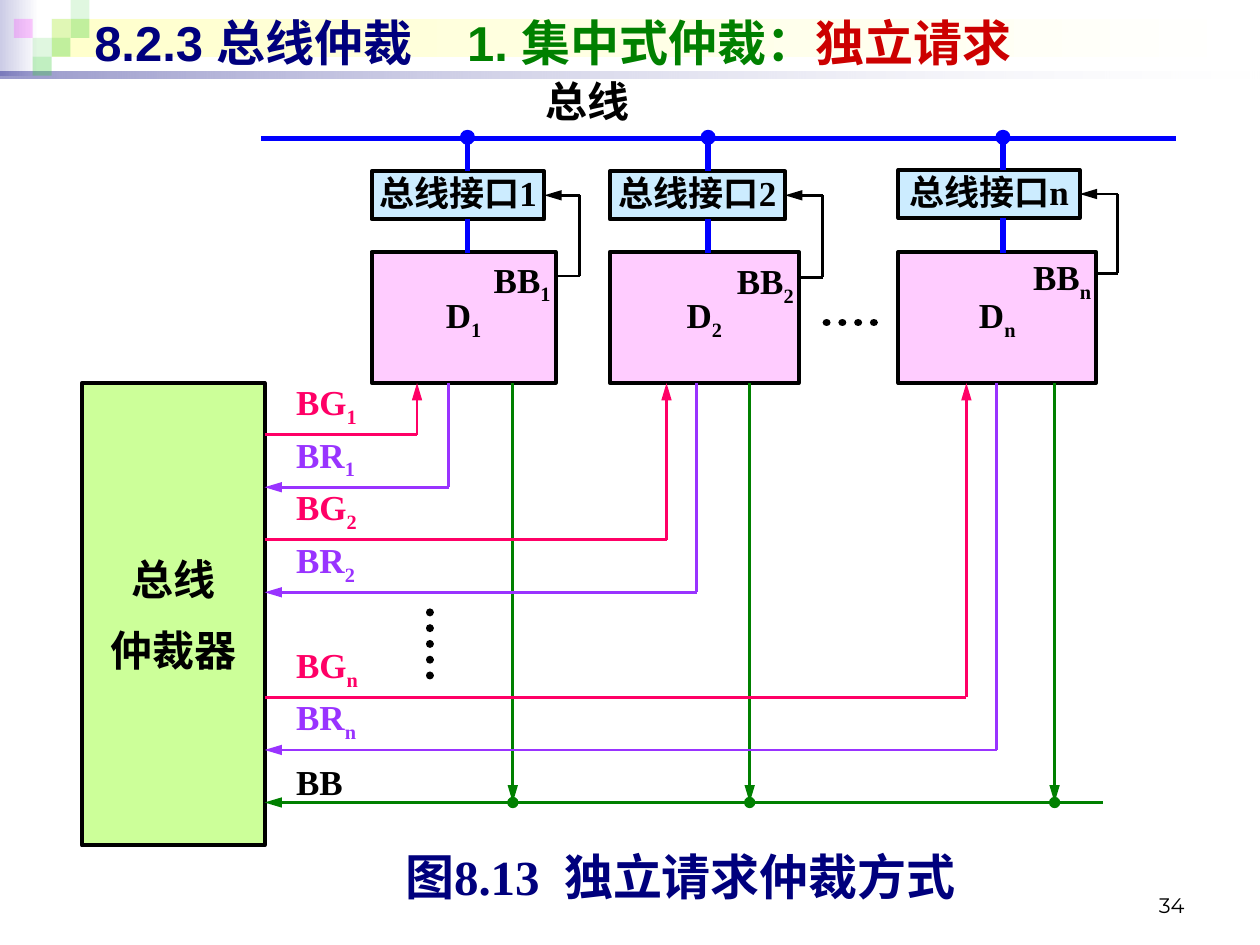
"""Build the slide on centralised bus arbitration by independent requests."""
from itertools import pairwise

from lxml.etree import SubElement
from pptx import Presentation
from pptx.dml.color import RGBColor
from pptx.enum.dml import MSO_LINE
from pptx.enum.shapes import MSO_CONNECTOR, MSO_SHAPE
from pptx.enum.text import MSO_ANCHOR, PP_ALIGN
from pptx.oxml.ns import qn
from pptx.util import Cm, Pt

COLORS = {
    "black": "000000", "white": "FFFFFF", "navy": "00007D", "red": "CC0000",
    "green": "008000", "grant": "FF0066", "request": "9933FF", "bus": "0000FF",
    "device": "FFCCFF", "interface": "CCECFF", "arbiter": "CCFF99",
    "lavender": "CCCCE6", "cream": "FFFFCC", "leaf": "33CC33", "magenta": "FF00FF",
}
TITLE = [("8.2.3 总线仲裁", "navy"), (" ", "navy", {"spc": "2500"}),
         ("1. 集中式仲裁：", "green"), ("独立请求", "red")]
CAPTION = [("图8.13", "navy"), (" ", "navy", {"spc": "700"}), ("独立请求仲裁方式", "navy")]

BANDS = [
    ((0, 0, 0.31, 0.6), ("lavender", "white"), (100, 100)),
    ((0.41, 0.15, 9.55, 0.3), ("cream", "white"), (100, 100)),
    ((0, 0.57, 10, 0.05), ("navy", "white"), (40, 10)),
]
TILE = 0.15
TILES = [(2, 1, "leaf", 15), (3, 0, "leaf", 15), (3, 1, "leaf", 30), (1, 2, "leaf", 15),
         (0, 1, "magenta", 20), (2, 2, "leaf", 30), (1, 3, "leaf", 30)]

DEVICES = [
    {"name": "1", "left": 2.95, "width": 1.46, "interface": 1.37, "top": 1.36, "trunk": 3.71,
     "loop": 4.6, "busy": 2.19, "grant": 3.31, "request": 3.56, "release": 4.07, "row": 0},
    {"name": "2", "left": 4.84, "width": 1.5, "interface": 1.39, "top": 1.36, "trunk": 5.62,
     "loop": 6.53, "busy": 2.2, "grant": 5.29, "request": 5.53, "release": 5.95, "row": 2},
    {"name": "n", "left": 7.13, "width": 1.57, "interface": 1.44, "top": 1.35, "trunk": 7.96,
     "loop": 8.87, "busy": 2.17, "grant": 7.67, "request": 7.91, "release": 8.37, "row": 5},
]
BUS_Y, DEVICE_TOP, DEVICE_HEIGHT, INTERFACE_HEIGHT = 1.1, 2, 1.04, 0.38
DEVICE_BOTTOM = DEVICE_TOP + DEVICE_HEIGHT
ARBITER_RIGHT, FIRST_ROW, ROW_PITCH, BUSY_ROW = 2.1, 3.45, 0.417, 7
LABEL_LEFT, LABEL_HEIGHT = 2.35, 0.42
SUBSCRIPT = {"baseline": "-25000"}

presentation = Presentation()
presentation.slide_width, presentation.slide_height = Cm(25.4), Cm(19.05)
slide = presentation.slides.add_slide(presentation.slide_layouts[6])


def inches(value):
    return Cm(value * 2.54)


def color(name):
    return RGBColor.from_string(COLORS[name])


def row_y(row):
    return FIRST_ROW + ROW_PITCH * row


def set_alpha(shape, opacities):
    for element, opacity in zip(list(shape.element.spPr.iter(qn("a:srgbClr"))), opacities):
        SubElement(element, qn("a:alpha"), val=str(opacity * 1000))


def add_box(place, fill, outline=None, width=2.25, kind=MSO_SHAPE.RECTANGLE):
    shape = slide.shapes.add_shape(kind, *map(inches, place))
    shape.shadow.inherit = False
    shape.fill.solid()
    shape.fill.fore_color.rgb = color(fill)
    if outline:
        shape.line.color.rgb = color(outline)
        shape.line.width = Pt(width)
    else:
        shape.line.fill.background()
    return shape


def write(shape, paragraphs, size=20, font="Times New Roman", bold=True,
          align=PP_ALIGN.CENTER, anchor=MSO_ANCHOR.MIDDLE, inset=(0, 0), spacing=None):
    frame = shape.text_frame
    side, end = map(inches, inset)
    frame_format = {"word_wrap": True, "vertical_anchor": anchor, "margin_left": side,
                    "margin_right": side, "margin_top": end, "margin_bottom": end}
    for name, value in frame_format.items():
        setattr(frame, name, value)
    for index, runs in enumerate(paragraphs):
        paragraph = frame.add_paragraph() if index else frame.paragraphs[0]
        paragraph_format = {"alignment": align, "line_spacing": spacing,
                            "space_before": Pt(12 if index else 0)}
        for name, value in paragraph_format.items():
            setattr(paragraph, name, value)
        for text, ink, *extras in runs:
            run = paragraph.add_run()
            run.text = text
            for name, value in {"size": Pt(size), "name": font, "bold": bold}.items():
                setattr(run.font, name, value)
            run.font.color.rgb = color(ink)
            for extra in extras:
                for name, value in extra.items():
                    run.font._element.set(name, value)


def add_text(place, paragraphs, **options):
    write(slide.shapes.add_textbox(*map(inches, place)), paragraphs, **options)


def add_wire(points, ink, width=1.5, arrow=False, dotted=False):
    for start, end in pairwise(points):
        connector = slide.shapes.add_connector(MSO_CONNECTOR.STRAIGHT, *map(inches, start + end))
        connector.line.color.rgb = color(ink)
        connector.line.width = Pt(width)
        if dotted:
            connector.line.dash_style = MSO_LINE.ROUND_DOT
            connector.element.spPr.find(qn("a:ln")).set("cap", "rnd")
        SubElement(connector.element.spPr, qn("a:effectLst"))
    if arrow:
        SubElement(connector.element.spPr.find(qn("a:ln")), qn("a:tailEnd"),
                   type="triangle", w="med", len="lg")
    return connector


def add_dot(x, y, size, ink):
    add_box((x - size / 2, y - size / 2, size, size), ink, ink, 0.75,
            MSO_SHAPE.FLOWCHART_CONNECTOR)


def add_label(text, name, ink, bottom, width=0.73):
    shape = add_box((LABEL_LEFT, bottom - LABEL_HEIGHT, width, LABEL_HEIGHT), "white")
    runs = [(text, ink)] + ([(name, ink, SUBSCRIPT)] if name else [])
    write(shape, [runs], align=PP_ALIGN.JUSTIFY, anchor=MSO_ANCHOR.BOTTOM)


def add_background():
    for place, inks, opacities in BANDS:
        band = add_box(place, "white")
        band.fill.gradient()
        band.fill.gradient_angle = 0
        for stop, ink in zip(band.fill.gradient_stops, inks):
            stop.color.rgb = color(ink)
        set_alpha(band, opacities)
    for column, row, ink, opacity in TILES:
        tile = add_box((0.11 + column * TILE, row * TILE, TILE, TILE), ink)
        set_alpha(tile, [opacity])


def add_labels():
    for device in DEVICES:
        for step, (text, ink) in enumerate([("BG", "grant"), ("BR", "request")]):
            add_label(text, device["name"], ink, row_y(device["row"] + step) - 0.05)
    add_label("BB", "", "black", row_y(BUSY_ROW), 0.48)


def add_device(device):
    name, left, top, trunk = (device[key] for key in ("name", "left", "top", "trunk"))
    right = left + device["width"]
    box = add_box((left, DEVICE_TOP, device["width"], DEVICE_HEIGHT), "device", "black")
    write(box, [[("D", "black"), (name, "black", SUBSCRIPT)]])

    interface = add_box((left, top, device["interface"], INTERFACE_HEIGHT), "interface", "black")
    write(interface, [[(f"总线接口{name}", "black")]], anchor=MSO_ANCHOR.TOP)
    add_wire([(trunk, BUS_Y), (trunk, top)], "bus", 3)
    add_wire([(trunk, top + INTERFACE_HEIGHT), (trunk, DEVICE_TOP + 0.01)], "bus", 3)
    add_dot(trunk, BUS_Y - 0.01, 0.11, "bus")

    middle, loop, busy = top + INTERFACE_HEIGHT / 2, device["loop"], device["busy"]
    feedback = add_wire([(right, busy), (loop, busy), (loop, middle),
                         (left + device["interface"], middle)], "black", arrow=True)
    feedback.end_connect(interface, 3)
    add_text((right - 0.78, busy - 0.11, 0.74, 0.33),
             [[("BB", "black"), (name, "black", SUBSCRIPT)]], align=PP_ALIGN.RIGHT, spacing=0.72)

    grant, request, release = (device[key] for key in ("grant", "request", "release"))
    grant_y, request_y = row_y(device["row"]), row_y(device["row"] + 1)
    add_wire([(ARBITER_RIGHT, grant_y), (grant, grant_y), (grant, DEVICE_BOTTOM)],
             "grant", arrow=True)
    add_wire([(request, DEVICE_BOTTOM), (request, request_y), (ARBITER_RIGHT, request_y)],
             "request", arrow=True)
    add_wire([(release, DEVICE_BOTTOM), (release, row_y(BUSY_ROW))], "green", arrow=True)
    add_dot(release, row_y(BUSY_ROW), 0.08, "green")


def main():
    add_background()
    add_text((0.65, 0.05, 9, 0.57), [TITLE], size=28, font="Arial",
             align=PP_ALIGN.LEFT, inset=(0.1, 0.05))
    add_text((4.21, 0.6, 0.91, 0.38), [[("总线", "black")]], size=24, anchor=MSO_ANCHOR.TOP)
    add_labels()
    add_wire([(2.07, BUS_Y), (9.33, BUS_Y)], "bus", 3)
    arbiter = add_box((0.65, 3.04, 1.45, 3.67), "arbiter", "black")
    write(arbiter, [[("总线", "black")], [("仲裁器", "black")]], size=24)
    add_wire([(8.75, row_y(BUSY_ROW)), (ARBITER_RIGHT, row_y(BUSY_ROW))], "green", arrow=True)
    for device in DEVICES:
        add_device(device)
    add_wire([(6.56, 2.56), (7.05, 2.56)], "black", 4.5, dotted=True)
    add_wire([(3.41, 4.86), (3.41, 5.48)], "black", 4.5, dotted=True)
    caption = add_box((2.8, 6.72, 5.2, 0.49), "white")
    write(caption, [CAPTION], size=28, anchor=MSO_ANCHOR.TOP)
    add_text((7.17, 6.83, 2.33, 0.5), [[("34", "black")]], size=12, font="Montserrat",
             bold=False, align=PP_ALIGN.RIGHT, anchor=MSO_ANCHOR.BOTTOM, inset=(0.1, 0.05))
    presentation.save("out.pptx")


if __name__ == "__main__":
    main()
